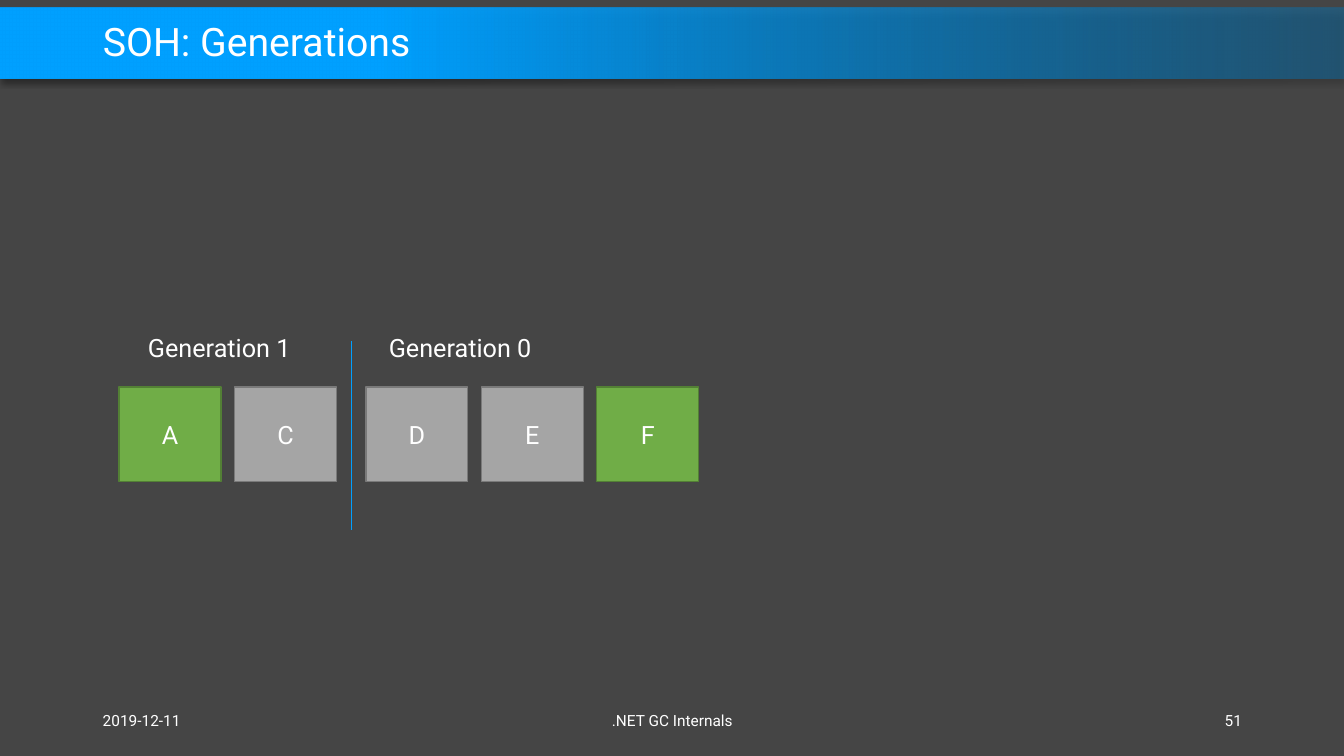
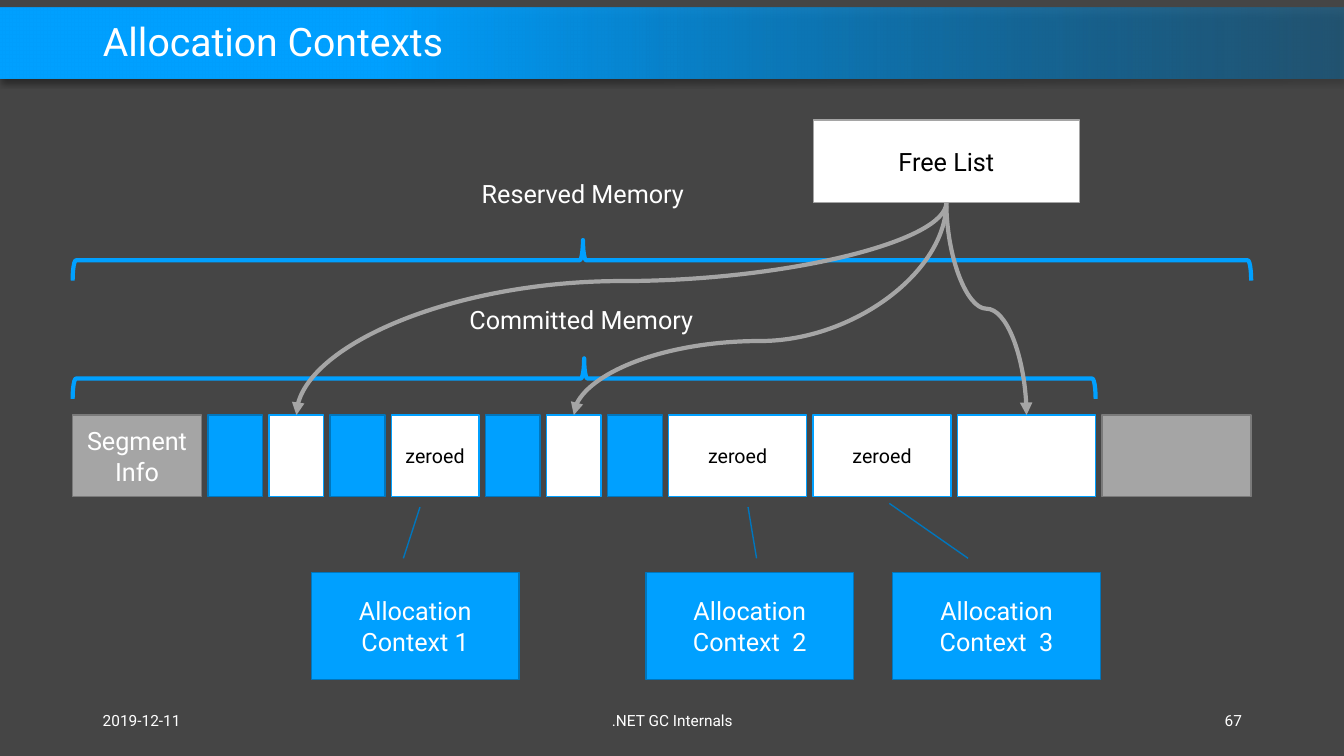
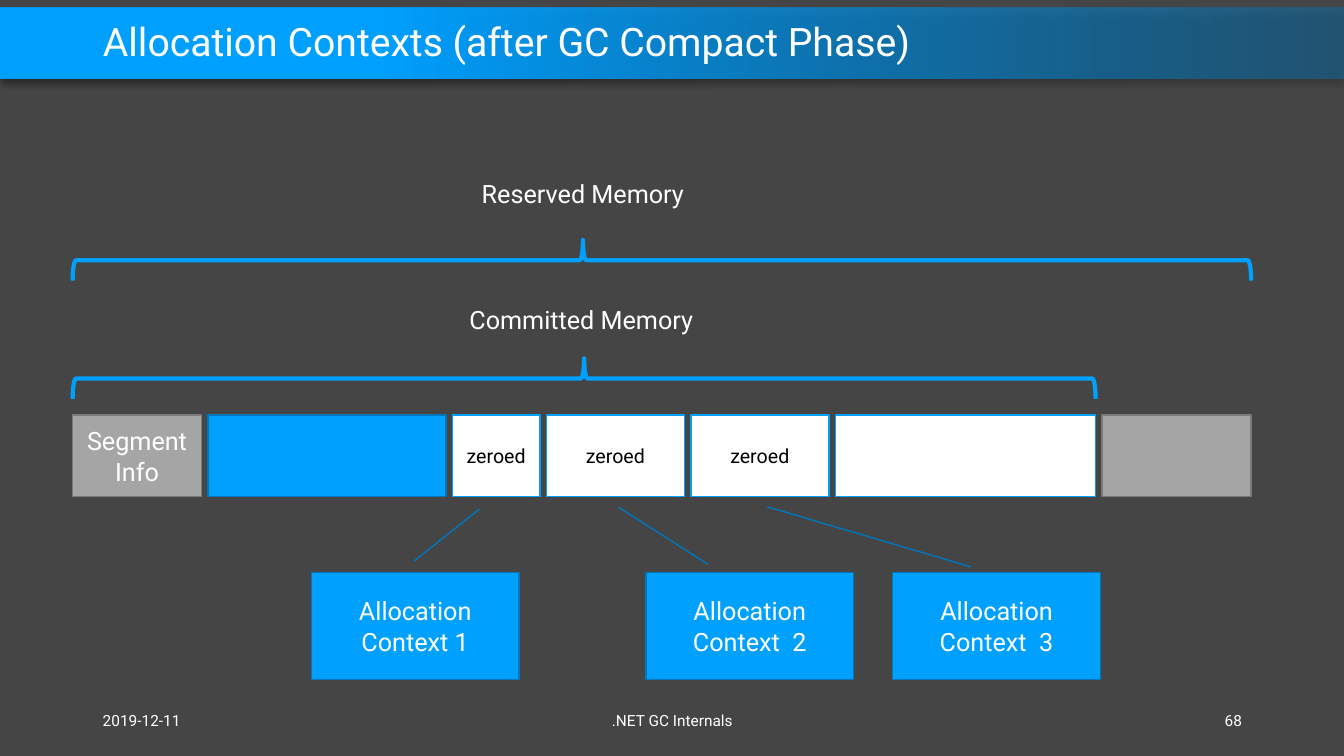
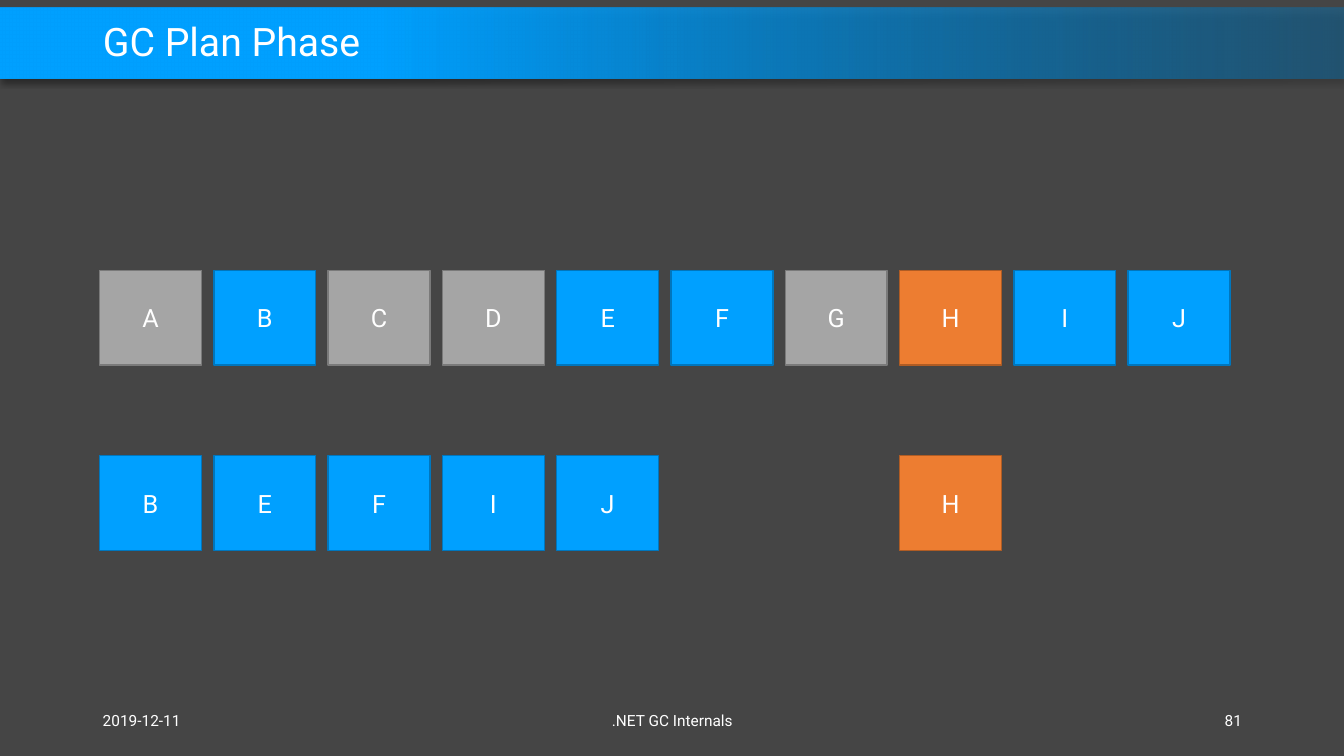
from dataclasses import dataclass

from lxml import etree
from pptx import Presentation
from pptx import util as u
from pptx.dml import color
from pptx.enum import shapes, text
from pptx.oxml.ns import qn

Cm = u.Cm
SHAPE = shapes.MSO_SHAPE
ALIGN = text.PP_ALIGN
MIDDLE = text.MSO_ANCHOR.MIDDLE


# Theme: colours, font and type sizes
@dataclass(frozen=True)
class Theme:
    font: str = "Roboto"
    background: str = "454545"
    light: str = "FFFFFF"
    dark: str = "000000"
    accent: str = "00A0FF"
    band_end: str = "0078BF"
    grey: str = "A5A5A5"
    title: int = 28
    label: int = 18
    small: int = 14
    footer: int = 11


T = Theme()

# Block styles: fill, outline, text colour
STYLES = {
    "blue": (T.accent, "0076BD", T.light),
    "grey": (T.grey, "7A7A7A", T.light),
    "green": ("70AD47", "538035", T.light),
    "orange": ("ED7D31", "AF5C24", T.light),
    "free": (T.light, T.accent, T.dark),
    "list": (T.light, T.grey, T.dark),
}

# Content (lengths in cm)
DATE, DECK = "2019-12-11", ".NET GC Internals"

GENERATIONS = [  # label, label left, row left, objects
    ("Generation 1", 3.48, 3.0, [("A", "green"), ("C", "grey")]),
    ("Generation 0", 9.55, 9.22, [("D", "grey"), ("E", "grey"), ("F", "green")]),
]

GAP, SMALL, MEDIUM, WIDE = 0.16, 1.38, 2.21, 3.48


def merged(*widths):
    """Width of neighbouring blocks joined into one."""
    return sum(widths) + GAP * (len(widths) - 1)


SEGMENT = ("Segment Info", "grey", 3.25)
UNCOMMITTED = ("", "grey", 3.76)
USED, HOLE = ("", "blue", SMALL), ("", "free", SMALL)
ZEROED, ZEROED_WIDE = ("zeroed", "free", MEDIUM), ("zeroed", "free", WIDE)

FRAGMENTED = [SEGMENT, USED, HOLE, USED, ZEROED, USED, HOLE, USED,
              ZEROED_WIDE, ZEROED_WIDE, ("", "free", WIDE), UNCOMMITTED]
COMPACTED = [SEGMENT, ("", "blue", merged(*[SMALL] * 4)), ZEROED, ZEROED_WIDE,
             ZEROED_WIDE, ("", "free", merged(SMALL, SMALL, WIDE)), UNCOMMITTED]

CONTEXTS = [("Allocation Context 1", 7.85), ("Allocation Context  2", 16.28),
            ("Allocation Context  3", 22.5)]
FRAGMENTED_POINTERS = [(-0.134, 0.443, -0.614, 0.523),
                       (-0.134, 0.533, -0.614, 0.492),
                       (-0.134, 0.363, -0.649, -0.017)]
COMPACTED_POINTERS = [(-0.111, 0.496, -0.598, 0.811),
                      (-0.079, 0.298, -0.614, -0.133),
                      (-0.055, 0.375, -0.617, -0.605)]
FREE_LIST_TARGETS = [(6, 0.652), (10, 0.5), (2, 0.37)]  # block index, bend

PLAN_ROWS = [  # top, objects by column
    (6.81, [("A", "grey"), ("B", "blue"), ("C", "grey"), ("D", "grey"),
            ("E", "blue"), ("F", "blue"), ("G", "grey"), ("H", "orange"),
            ("I", "blue"), ("J", "blue")]),
    (11.48, [("B", "blue"), ("E", "blue"), ("F", "blue"), ("I", "blue"),
             ("J", "blue"), None, None, ("H", "orange")]),
]

# Geometry shared by the diagrams
CELL_W, CELL_H = 2.57, 2.39
STRIP_LEFT, STRIP_TOP, STRIP_H = 1.83, 10.46, 2.06
BRACE_DEPTH = 1.02


# Drawing helpers
def rgb(value):
    return color.RGBColor.from_string(value)


def write(frame, words, size, ink=T.light, align=ALIGN.LEFT):
    paragraph = frame.paragraphs[0]
    paragraph.alignment = align
    run = paragraph.add_run()
    run.text = words
    run.font.name, run.font.size = T.font, u.Pt(size)
    run.font.color.rgb = rgb(ink)
    return paragraph


def stroke(part, ink, width):
    part.line.color.rgb = rgb(ink)
    part.line.width = u.Pt(width)


def block(slide, words, style, left, top, width, height, size=T.label, kind=SHAPE.RECTANGLE):
    fill, outline, ink = STYLES[style]
    box = slide.shapes.add_shape(kind, Cm(left), Cm(top), Cm(width), Cm(height))
    box.shadow.inherit = False
    box.fill.solid()
    box.fill.fore_color.rgb = rgb(fill)
    stroke(box, outline, 1)
    if words:
        box.text_frame.vertical_anchor = MIDDLE
        write(box.text_frame, words, size, ink, ALIGN.CENTER)
    return box


def cells(slide, left, top, pitch, objects):
    for column, entry in enumerate(objects):
        if entry:
            block(slide, *entry, left + column * pitch, top, CELL_W, CELL_H)


def label(slide, words, left, top, width):
    frame = slide.shapes.add_textbox(Cm(left), Cm(top), Cm(width), Cm(1.02)).text_frame
    frame.word_wrap = False
    frame.auto_size = text.MSO_AUTO_SIZE.SHAPE_TO_FIT_TEXT
    write(frame, words, T.label)


def connector(slide, kind, x1, y1, x2, y2, ink, width):
    link = slide.shapes.add_connector(kind, Cm(x1), Cm(y1), Cm(x2), Cm(y2))
    stroke(link, ink, width)
    etree.SubElement(link.element.spPr, qn("a:effectLst"))
    return link


def curved_arrow(slide, x1, y1, x2, y2, bend):
    """S-curve that leaves downwards and arrives downwards."""
    drop, reach = y2 - y1, abs(x2 - x1)
    left = (x1 + x2 - drop) / 2
    top = (y1 + y2 - reach) / 2
    start, end, turn = left, left + drop, 90
    if x2 > x1:
        start, end, turn = end, start, 270
    link = connector(slide, shapes.MSO_CONNECTOR.CURVE, start, top, end, top + reach, T.grey, 3)
    props = link.element.spPr
    props.find(qn("a:xfrm")).set("rot", str(turn * 60000))
    guides = props.find(qn("a:prstGeom")).find(qn("a:avLst"))
    etree.SubElement(guides, qn("a:gd"), name="adj1", fmla=f"val {round(bend * 100000)}")
    etree.SubElement(props.find(qn("a:ln")), qn("a:tailEnd"), type="triangle")


def brace(slide, top, width, point=0.5):
    """Brace opening downwards over the strip, made from a turned left brace."""
    left = STRIP_LEFT + (width - BRACE_DEPTH) / 2
    upper = top + (BRACE_DEPTH - width) / 2
    span = slide.shapes.add_shape(SHAPE.LEFT_BRACE, Cm(left), Cm(upper),
                                  Cm(BRACE_DEPTH), Cm(width))
    span.rotation = 90
    span.adjustments[0], span.adjustments[1] = 0.083, point
    span.shadow.inherit = False
    span.fill.background()
    stroke(span, T.accent, 3)


# Shared frame: background, title place and band on the layout
def set_up_layout(deck, layout):
    backdrop = deck.slide_master.background.fill
    backdrop.solid()
    backdrop.fore_color.rgb = rgb(T.background)
    title = layout.placeholders[0]
    title.left, title.top, title.width, title.height = Cm(2.34), Cm(0.41), Cm(29.21), Cm(1.4)


def add_band(slide, layout, width):
    band = slide.shapes.add_shape(SHAPE.RECTANGLE, 0, Cm(0.2), width, Cm(1.78))
    band.line.fill.background()
    band.fill.gradient()
    band.fill.gradient_angle = 180
    far, near = band.fill.gradient_stops
    far.position, near.position = 0, 0.72
    far.color.rgb, near.color.rgb = rgb(T.band_end), rgb(T.accent)
    band.shadow.inherit = False
    props = band.element.spPr
    far_ink = next(props.iter(qn("a:srgbClr")))
    etree.SubElement(far_ink, qn("a:alpha"), val="40000")
    shadow = etree.SubElement(props.find(qn("a:effectLst")), qn("a:outerShdw"),
                              blurRad=str(u.Pt(4)), dist=str(u.Pt(3)),
                              dir="5400000", algn="t", rotWithShape="0")
    shadow_ink = etree.SubElement(shadow, qn("a:srgbClr"), val=T.dark)
    etree.SubElement(shadow_ink, qn("a:alpha"), val="40000")
    band.element.nvSpPr.cNvPr.set("id", "20")
    layout.shapes.element.insert(2, band.element)


def add_title_and_footer(slide, title, number):
    frame = slide.shapes.title.text_frame
    frame.vertical_anchor = MIDDLE
    frame.auto_size = text.MSO_AUTO_SIZE.NONE
    write(frame, title, T.title).line_spacing = 0.9
    footers = [(DATE, 2.34, 7.62, ALIGN.LEFT), (DECK, 11.23, 11.43, ALIGN.CENTER),
               (str(number), 23.93, 7.62, ALIGN.RIGHT)]
    for words, left, width, align in footers:
        foot = slide.shapes.add_textbox(Cm(left), Cm(17.65), Cm(width), Cm(1.02)).text_frame
        foot.word_wrap = True
        foot.vertical_anchor = MIDDLE
        write(foot, words, T.footer, align=align)


# Slide bodies
def draw_generations(slide):
    for name, label_left, row_left, objects in GENERATIONS:
        label(slide, name, label_left, 8.26, 4.17)
        cells(slide, row_left, 9.75, 2.91, objects)
    connector(slide, shapes.MSO_CONNECTOR.STRAIGHT, 8.86, 8.59, 8.86, 13.36, T.accent, 0.5)


def draw_memory(slide, strip, pointers):
    """Draw the segment strip with its braces and contexts; return block centres."""
    left, centres = STRIP_LEFT, []
    for words, style, width in strip:
        size = T.small if style == "free" else T.label
        block(slide, words, style, left, STRIP_TOP, width, STRIP_H, size)
        centres.append(left + width / 2)
        left += width + GAP
    widths = [width for _, _, width in strip]
    brace(slide, 9.03, merged(*widths[:-1]))
    label(slide, "Committed Memory", 11.58, 7.54, 6.25)
    brace(slide, 6.05, merged(*widths), 0.567)
    label(slide, "Reserved Memory", 11.89, 4.37, 5.64)
    for (words, context_left), pointer in zip(CONTEXTS, pointers):
        callout = block(slide, words, "blue", context_left, 14.43, 5.23, 2.69,
                        kind=SHAPE.LINE_CALLOUT_1)
        for index, value in enumerate(pointer):
            callout.adjustments[index] = value
    return centres


def draw_fragmented(slide):
    centres = draw_memory(slide, FRAGMENTED, FRAGMENTED_POINTERS)
    left, top, width, height = 20.5, 3.02, 6.7, 2.08
    block(slide, "Free List", "list", left, top, width, height)
    for index, bend in FREE_LIST_TARGETS:
        curved_arrow(slide, left + width / 2, top + height, centres[index], STRIP_TOP, bend)


def draw_compacted(slide):
    draw_memory(slide, COMPACTED, COMPACTED_POINTERS)


def draw_plan(slide):
    for top, objects in PLAN_ROWS:
        cells(slide, 2.51, top, 2.88, objects)


SLIDES = [
    ("SOH: Generations", 51, draw_generations),
    ("Allocation Contexts", 67, draw_fragmented),
    ("Allocation Contexts (after GC Compact Phase)", 68, draw_compacted),
    ("GC Plan Phase", 81, draw_plan),
]


def main():
    deck = Presentation()
    deck.slide_width, deck.slide_height = Cm(33.87), Cm(19.05)
    layout = deck.slide_layouts.get_by_name("Title Only")
    set_up_layout(deck, layout)
    for position, (title, number, draw) in enumerate(SLIDES):
        slide = deck.slides.add_slide(layout)
        if position == 0:
            add_band(slide, layout, deck.slide_width)
        add_title_and_footer(slide, title, number)
        draw(slide)
    deck.save("out.pptx")


if __name__ == "__main__":
    main()
